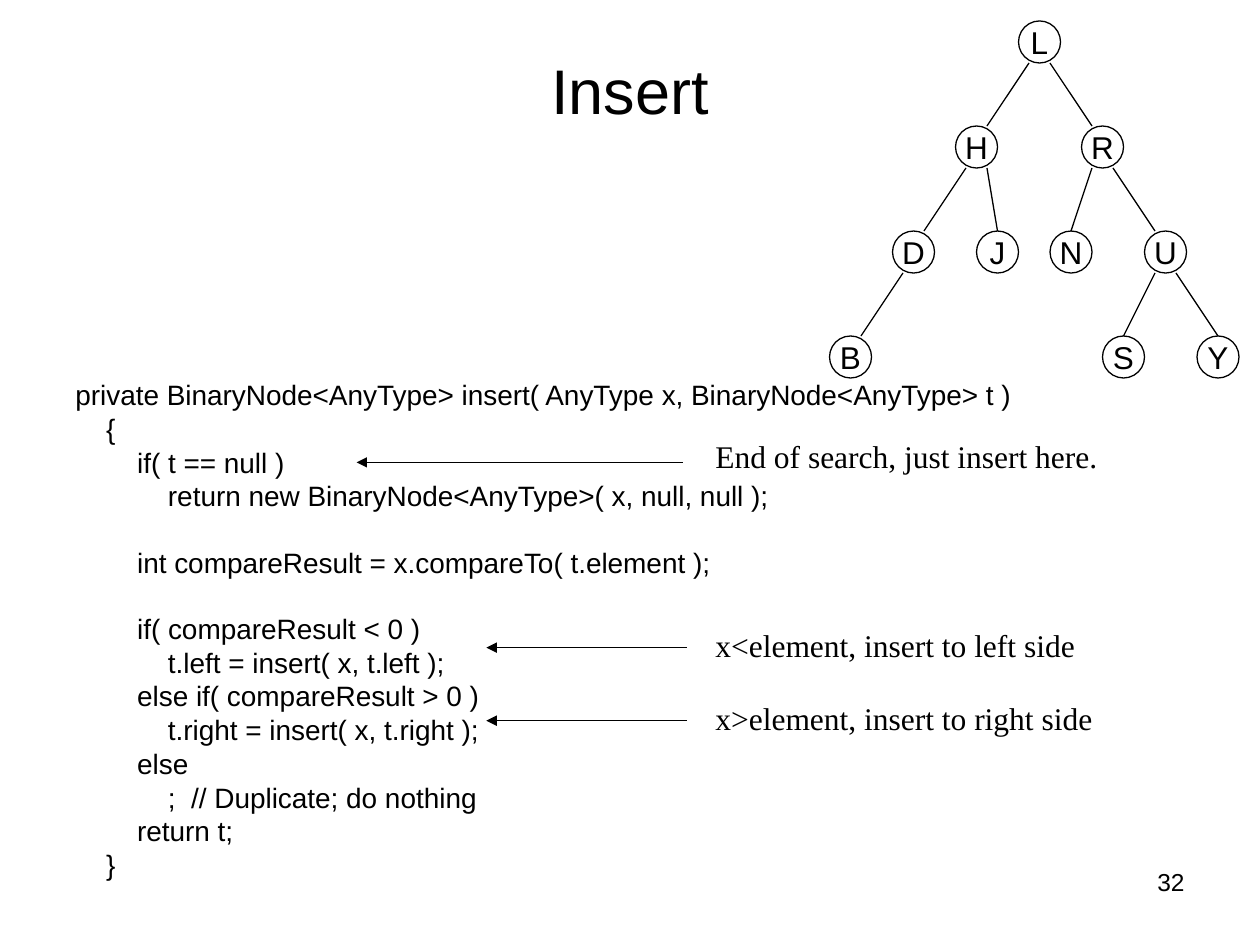
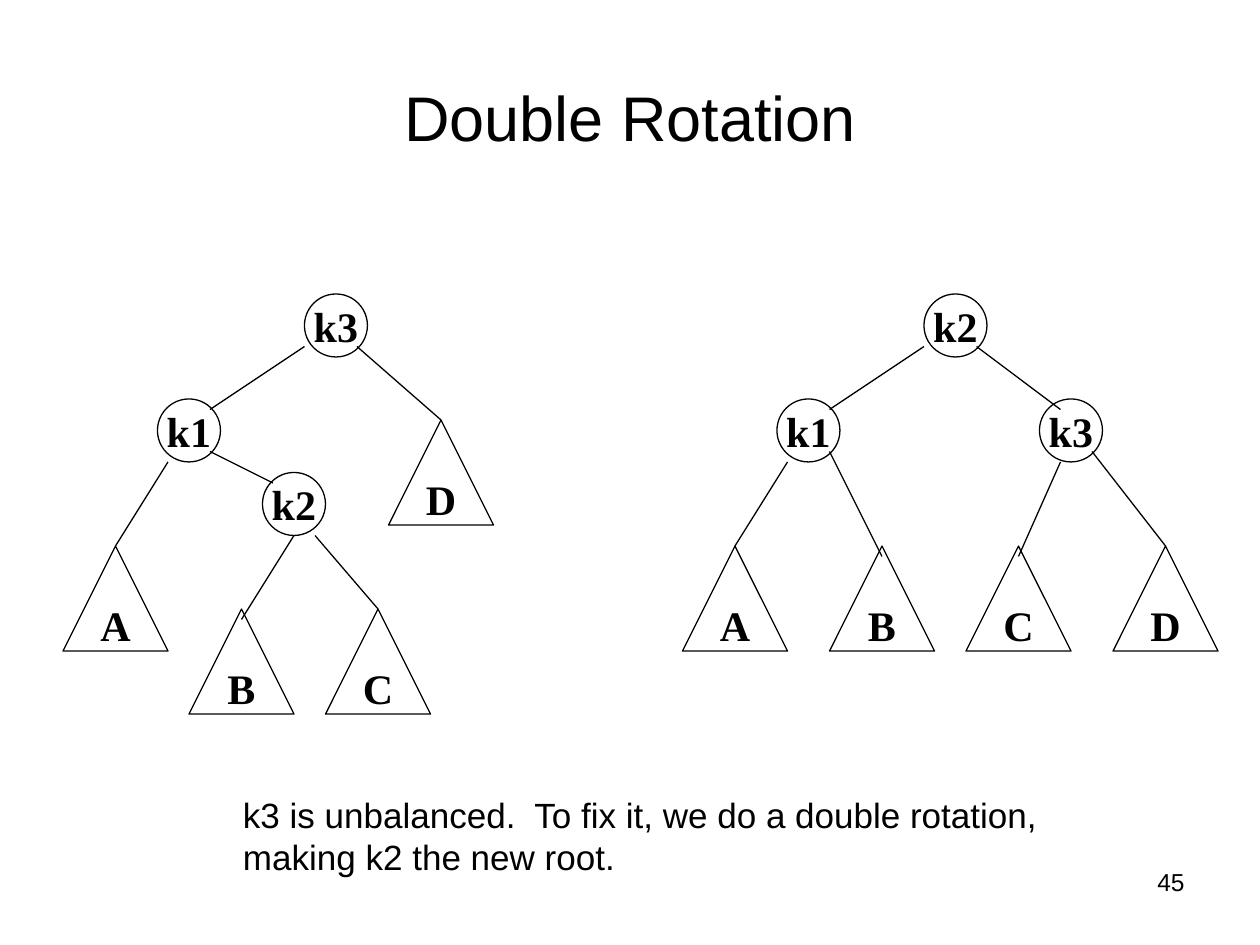
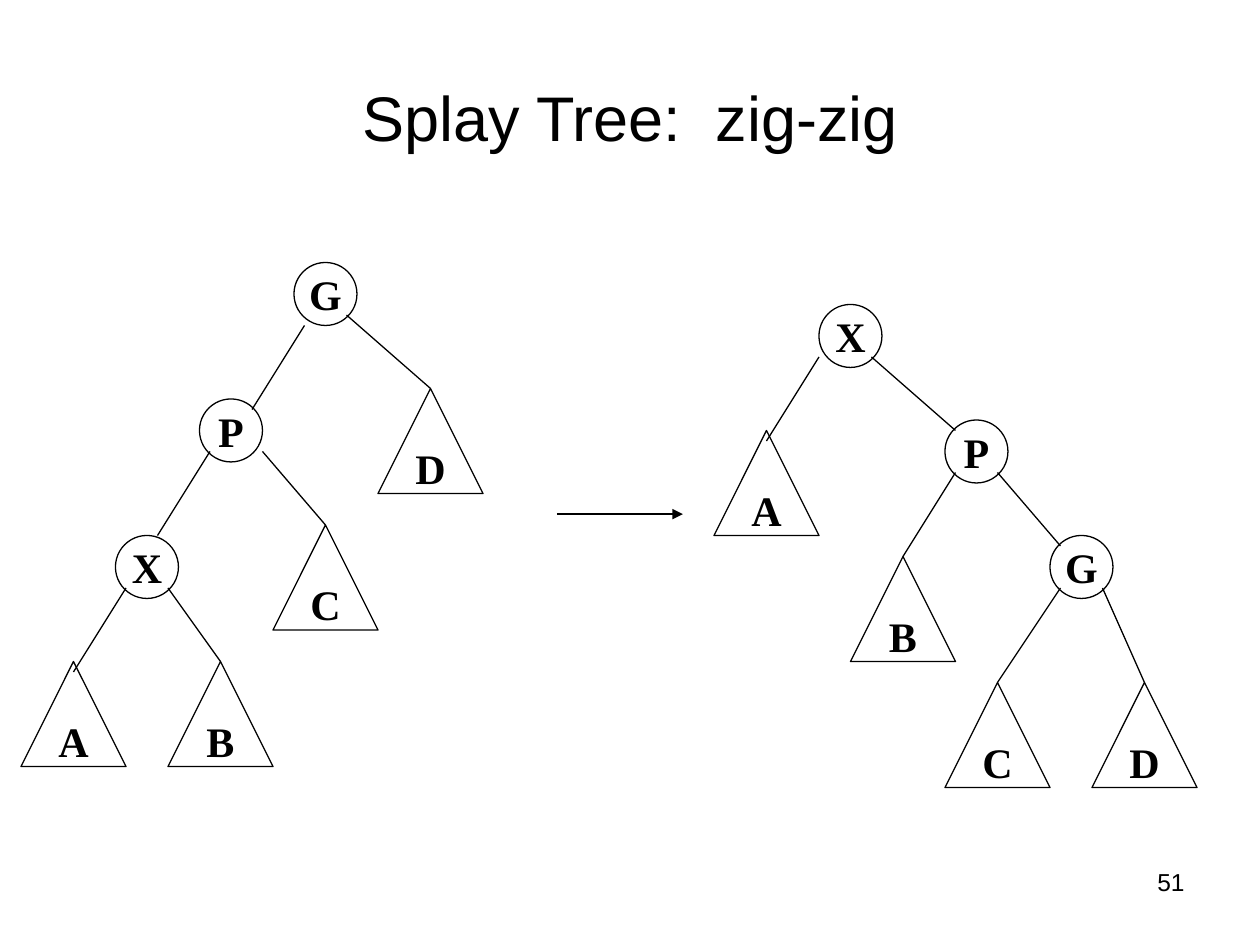
from collections import namedtuple

from lxml import etree
from pptx import Presentation
from pptx.dml.color import RGBColor
from pptx.enum.shapes import MSO_CONNECTOR as Connector, MSO_SHAPE as Shape
from pptx.enum.text import MSO_ANCHOR as Anchor, PP_ALIGN as Align
from pptx.oxml.ns import qn
from pptx.util import Inches, Pt

INK = "000000"
SANS = "Arial"
SERIF = "Times New Roman"
UNIT = 1 / 12
TRIANGLE_SIZE = 10

Box = namedtuple("Box", "left top width height")
TITLE_BOX = Box(0.5, 0.3, 9, 1.25)
NUMBER_BOX = Box(7.17, 6.83, 2.33, 0.52)
NodeStyle = namedtuple("NodeStyle", "circle font size bold")
SMALL_NODE = NodeStyle(4, SANS, 18, False)
LARGE_NODE = NodeStyle(6, SERIF, 24, True)

CODE = [
    (0, "private BinaryNode<AnyType> insert( AnyType x, BinaryNode<AnyType> t )"),
    (1, "{"),
    (2, "if( t == null )"),
    (3, "return new BinaryNode<AnyType>( x, null, null );"),
    (2, "int compareResult = x.compareTo( t.element );"),
    (2, "if( compareResult < 0 )"),
    (3, "t.left = insert( x, t.left );"),
    (2, "else if( compareResult > 0 )"),
    (3, "t.right = insert( x, t.right );"),
    (2, "else"),
    (3, ";  // Duplicate; do nothing"),
    (2, "return t;"),
    (1, "}"),
]
SECTION_STARTS = (4, 5)

NOTES = [
    (Box(5.58, 3.42, 3.24, 0.4), 5.42, 2.83, 3.67, "End of search, just insert here."),
    (Box(5.58, 4.92, 3.06, 0.4), 5.45, 3.86, 5.14, "x<element, insert to left side"),
    (Box(5.58, 5.5, 3.2, 0.4), 5.45, 3.86, 5.72, "x>element, insert to right side"),
]

SEARCH_TREE = dict(
    circles=[("L", 18, 0), ("H", 12, 10), ("R", 24, 10), ("D", 6, 20), ("J", 14, 20),
             ("N", 21, 20), ("U", 30, 20), ("S", 26, 30), ("Y", 35, 30), ("B", 0, 30)],
    triangles=[],
    branches=[(19, 4, 15, 10), (13, 14, 9, 20), (7, 24, 3, 30), (21, 4, 25, 10),
              (27, 14, 31, 20), (33, 24, 37, 30), (15, 14, 16, 20), (25, 14, 23, 20),
              (31, 24, 28, 30)],
)
UNBALANCED_TREE = dict(
    circles=[("k3", 23, 0), ("k2", 19, 17), ("k1", 9, 10)],
    triangles=[("A", 0, 24), ("B", 12, 30), ("C", 25, 30), ("D", 31, 12)],
    branches=[(23, 5, 14, 11), (10, 16, 5, 24), (14, 15, 20, 18), (22, 23, 17, 31),
              (24, 23, 30, 30), (28, 5, 36, 12)],
)
ROTATED_TREE = dict(
    circles=[("k2", 23, 0), ("k3", 34, 10), ("k1", 9, 10)],
    triangles=[("A", 0, 24), ("B", 14, 24), ("C", 27, 24), ("D", 41, 24)],
    branches=[(23, 5, 14, 11), (10, 16, 5, 24), (14, 15, 19, 25), (36, 16, 32, 25),
              (28, 5, 36, 11), (39, 15, 46, 24)],
)
LEFT_ZIG_TREE = dict(
    circles=[("G", 26, 0), ("X", 9, 26), ("P", 17, 13)],
    triangles=[("A", 0, 38), ("B", 14, 38), ("C", 24, 25), ("D", 34, 12)],
    branches=[(27, 6, 22, 14), (18, 18, 13, 26), (23, 18, 29, 25), (31, 5, 39, 12),
              (10, 31, 5, 39), (14, 31, 19, 38)],
)
RIGHT_ZIG_TREE = dict(
    circles=[("G", 32, 22), ("X", 10, 0), ("P", 22, 11)],
    triangles=[("A", 0, 12), ("B", 13, 24), ("C", 22, 36), ("D", 36, 36)],
    branches=[(33, 27, 27, 36), (23, 16, 18, 24), (27, 16, 33, 23), (15, 5, 23, 12),
              (10, 5, 5, 13), (37, 27, 41, 36)],
)


def color(value):
    return RGBColor.from_string(value)


def set_font(para, name, size, bold=False):
    para.font.name = name
    para.font.size = Pt(size)
    para.font.bold = bold
    para.font.color.rgb = color(INK)


def add_text(page, box, text, size, font=SANS, align=Align.LEFT, anchor=Anchor.TOP, wrap=True):
    frame = page.shapes.add_textbox(*map(Inches, box)).text_frame
    frame.word_wrap = wrap
    frame.vertical_anchor = anchor
    para = frame.paragraphs[0]
    para.text = text
    para.alignment = align
    set_font(para, font, size)


def add_line(page, start_x, start_y, end_x, end_y, arrow=False):
    ends = map(Inches, (start_x, start_y, end_x, end_y))
    line = page.shapes.add_connector(Connector.STRAIGHT, *ends)
    line.line.color.rgb = color(INK)
    line.line.width = Pt(0.75)
    if arrow:
        etree.SubElement(line.line._get_or_add_ln(), qn("a:tailEnd"), type="triangle")
    etree.SubElement(line._element.spPr, qn("a:effectLst"))


def add_node(page, kind, box, label, style):
    node = page.shapes.add_shape(kind, *map(Inches, box))
    node.shadow.inherit = False
    node.fill.background()
    node.line.color.rgb = color(INK)
    node.line.width = Pt(0.75)
    frame = node.text_frame
    frame.word_wrap = False
    frame.vertical_anchor = Anchor.MIDDLE
    para = frame.paragraphs[0]
    para.text = label
    para.alignment = Align.CENTER
    set_font(para, style.font, style.size, style.bold)


def add_tree(page, column, row, tree, style=LARGE_NODE):
    kinds = [(Shape.OVAL, style.circle, tree["circles"]),
             (Shape.ISOSCELES_TRIANGLE, TRIANGLE_SIZE, tree["triangles"])]
    for kind, size, nodes in kinds:
        for label, x, y in nodes:
            cells = (column + x, row + y, size, size)
            add_node(page, kind, Box(*(cell * UNIT for cell in cells)), label, style)
    for x1, y1, x2, y2 in tree["branches"]:
        cells = (column + x1, row + y1, column + x2, row + y2)
        add_line(page, *(cell * UNIT for cell in cells))


def add_code(page, box):
    frame = page.shapes.add_textbox(*map(Inches, box)).text_frame
    frame.word_wrap = True
    for index, (level, text) in enumerate(CODE):
        para = frame.paragraphs[0] if index == 0 else frame.add_paragraph()
        para.text = text
        para.line_spacing = 0.8
        para.space_before = Pt(22.5 if index in SECTION_STARTS else 3.9)
        para._p.get_or_add_pPr().set("marL", str(Inches(level * 0.245)))
        set_font(para, SANS, 16)


def add_page(deck, title, number, title_box=TITLE_BOX):
    page = deck.slides.add_slide(deck.slide_layouts[6])
    add_text(page, NUMBER_BOX, number, 14, align=Align.RIGHT)
    add_text(page, title_box, title, 36, align=Align.CENTER, anchor=Anchor.MIDDLE)
    return page


def add_insert_page(deck):
    page = add_page(deck, "Insert", "32", Box(0.75, 0.25, 8.5, 0.92))
    add_code(page, Box(0.5, 3, 9, 4.25))
    for box, start, end, height, text in NOTES:
        add_line(page, start, height, end, height, arrow=True)
        add_text(page, box, text, 18, font=SERIF, wrap=False)
    add_tree(page, 79, 2, SEARCH_TREE, SMALL_NODE)


def add_rotation_page(deck):
    page = add_page(deck, "Double Rotation", "45")
    add_tree(page, 6, 28, UNBALANCED_TREE)
    add_tree(page, 65, 28, ROTATED_TREE)
    add_text(page, Box(1.83, 6.25, 6.58, 0.77),
             "k3 is unbalanced.  To fix it, we do a double rotation, making k2 the new root.", 20)


def add_splay_page(deck):
    page = add_page(deck, "Splay Tree:  zig-zig", "51")
    add_tree(page, 2, 25, LEFT_ZIG_TREE)
    add_line(page, 4.42, 4.08, 5.42, 4.08, arrow=True)
    add_tree(page, 68, 29, RIGHT_ZIG_TREE)


def main():
    deck = Presentation()
    deck.slide_width = Inches(10)
    deck.slide_height = Inches(7.5)
    add_insert_page(deck)
    add_rotation_page(deck)
    add_splay_page(deck)
    deck.save("out.pptx")


if __name__ == "__main__":
    main()
